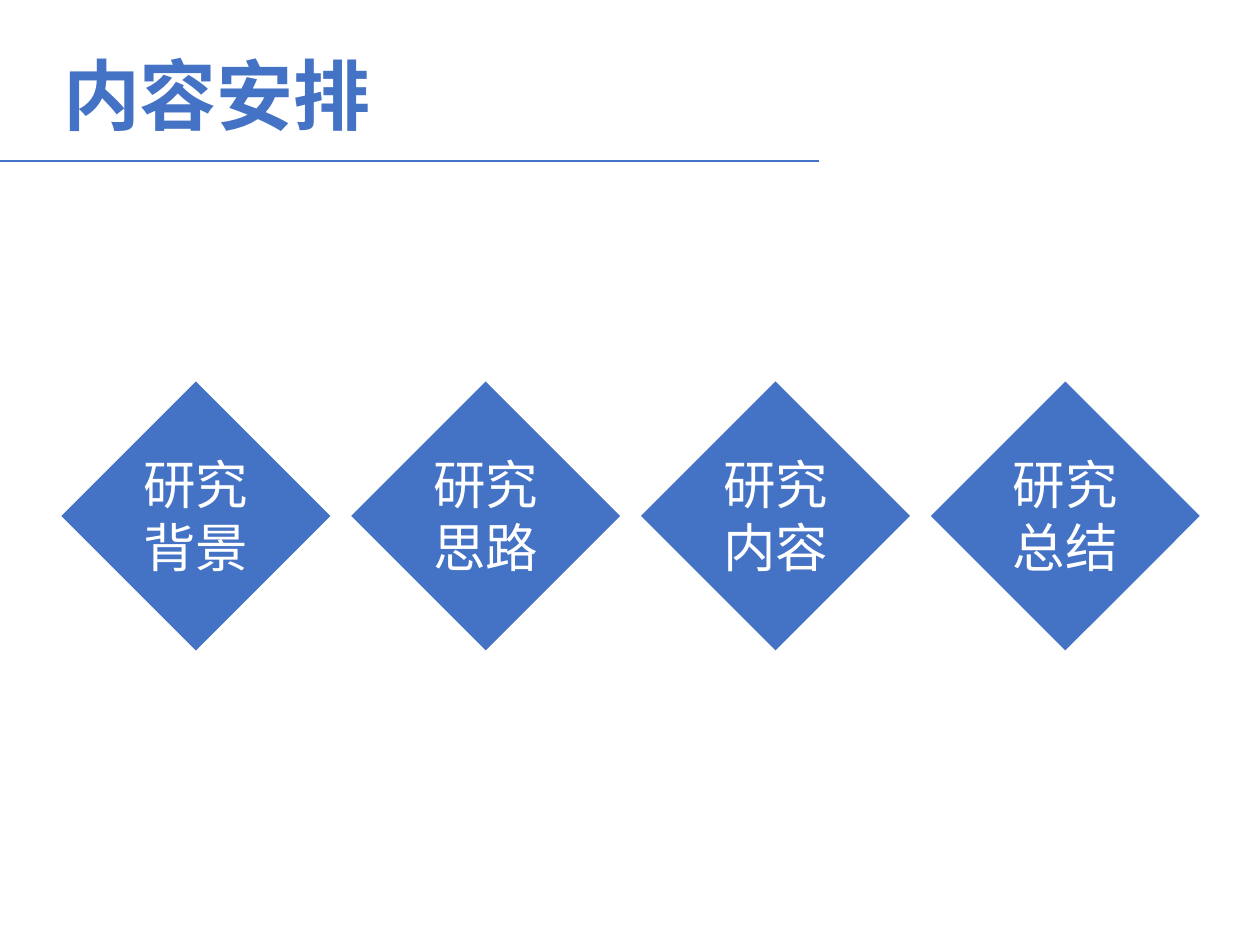
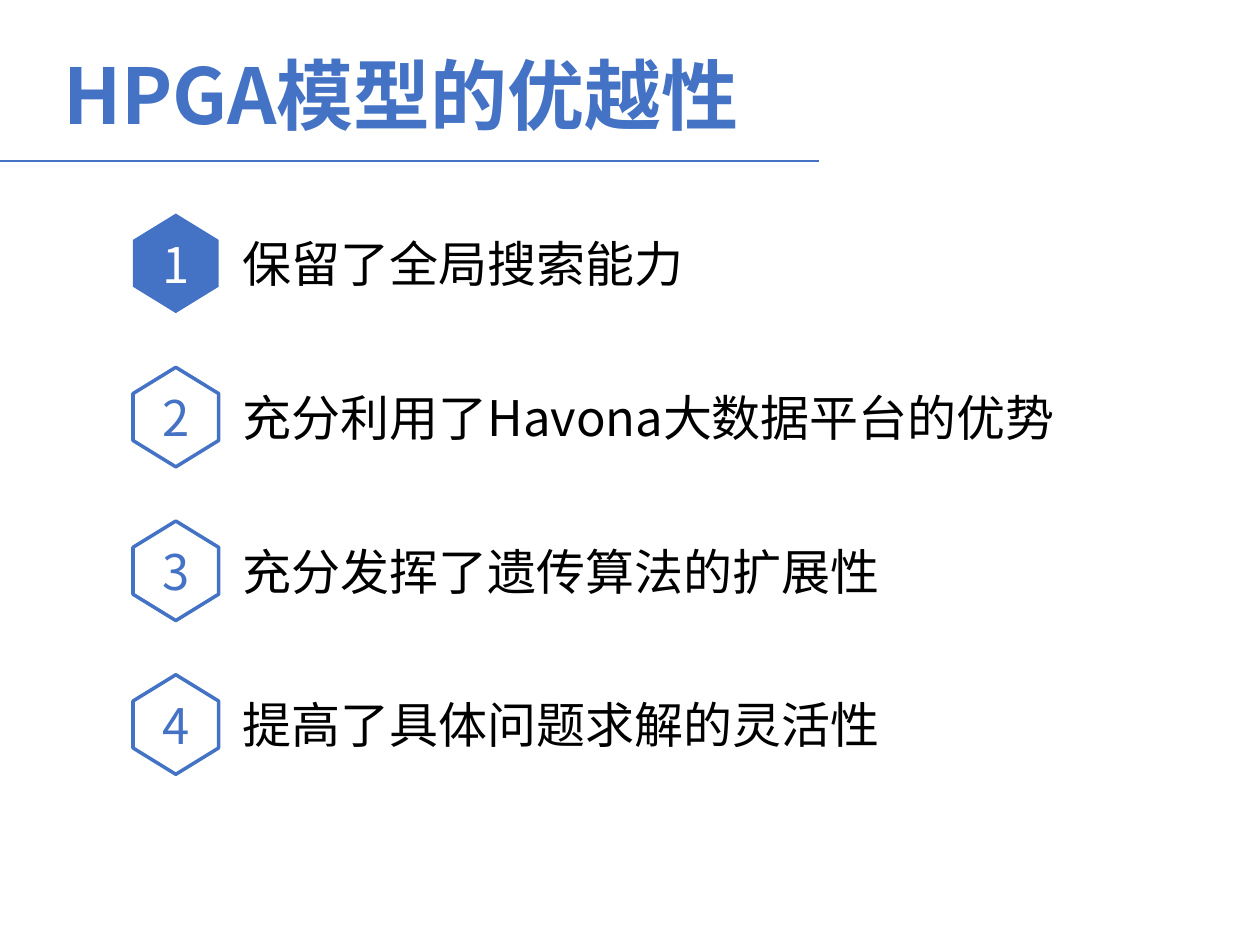
"""Build the outline slide and the model advantages slide."""
from lxml.etree import SubElement
from pptx import Presentation
from pptx.dml.color import RGBColor
from pptx.enum.shapes import MSO_CONNECTOR, MSO_SHAPE
from pptx.enum.text import MSO_ANCHOR, MSO_AUTO_SIZE, PP_ALIGN
from pptx.oxml.ns import qn
from pptx.util import Inches, Pt

BLUE = RGBColor(0x44, 0x72, 0xC4)
WHITE = RGBColor(0xFF, 0xFF, 0xFF)
BLACK = RGBColor(0x00, 0x00, 0x00)
FONT = "Noto Sans CJK SC"
TITLE_ONLY = 5

TOPICS = ["研究背景", "研究思路", "研究内容", "研究总结"]
TOPIC_LEFT, TOPIC_TOP, TOPIC_PITCH = 0.8, 3.34, 2.3
TOPIC_SIDE = 1.51
LABEL_WIDTH, LABEL_HEIGHT = 1.35, 1.11

ADVANTAGES = [
    "保留了全局搜索能力",
    "充分利用了Havona大数据平台的优势",
    "充分发挥了遗传算法的扩展性",
    "提高了具体问题求解的灵活性",
]
ROW_TOP, ROW_PITCH = 1.75, 1.22
HEXAGON_WIDTH, HEXAGON_HEIGHT = 0.79, 0.68


def place(shape, left, top, width, height):
    """Move and size a shape, in inches."""
    shape.left, shape.top = Inches(left), Inches(top)
    shape.width, shape.height = Inches(width), Inches(height)


def write(shape, text, size, color, alignment, bold=False):
    """Fill a shape with one formatted paragraph."""
    paragraph = shape.text_frame.paragraphs[0]
    paragraph.text = text
    paragraph.alignment = alignment
    paragraph.space_before = Pt(0)
    paragraph.line_spacing = Pt(round(1.2 * size))
    font = paragraph.font
    font.name, font.size, font.bold = FONT, Pt(size), bold
    font.color.rgb = color
    defaults = paragraph._p.pPr.find(qn("a:defRPr"))
    SubElement(defaults, qn("a:ea")).set("typeface", FONT)


def add_titled_slide(presentation, title):
    """Add a slide with the shared title and the rule below it."""
    slide = presentation.slides.add_slide(presentation.slide_layouts[TITLE_ONLY])
    rule = slide.shapes.add_connector(
        MSO_CONNECTOR.STRAIGHT, 0, Inches(1.28), Inches(6.5), Inches(1.28))
    rule.line.color.rgb = BLUE
    rule.line.width = Pt(1.25)
    SubElement(rule._element.spPr, qn("a:effectLst"))
    heading = slide.shapes.title
    place(heading, 0.4, 0.32, 8.03, 0.71)
    heading.text_frame.auto_size = MSO_AUTO_SIZE.NONE
    heading.text_frame.vertical_anchor = MSO_ANCHOR.TOP
    write(heading, title, 44, BLUE, PP_ALIGN.LEFT, bold=True)
    return slide


def add_shape(slide, preset, left, top, width, height, filled=True):
    """Add a blue shape, either solid or outlined."""
    shape = slide.shapes.add_shape(
        preset, Inches(left), Inches(top), Inches(width), Inches(height))
    shape.shadow.inherit = False
    if filled:
        shape.fill.solid()
        shape.fill.fore_color.rgb = BLUE
        shape.line.fill.background()
    else:
        shape.fill.background()
        shape.line.color.rgb = BLUE
        shape.line.width = Pt(2)
    return shape


def add_label(slide, text, left, top, width, height, size, color, alignment):
    """Add a wrapping text box that grows with its text."""
    label = slide.shapes.add_textbox(
        Inches(left), Inches(top), Inches(width), Inches(height))
    label.text_frame.word_wrap = True
    label.text_frame.auto_size = MSO_AUTO_SIZE.SHAPE_TO_FIT_TEXT
    write(label, text, size, color, alignment)


def add_topic(slide, column, text):
    """Add a square turned on its corner with a centred label."""
    left = TOPIC_LEFT + column * TOPIC_PITCH
    square = add_shape(slide, MSO_SHAPE.RECTANGLE, left, TOPIC_TOP,
                       TOPIC_SIDE, TOPIC_SIDE)
    square.rotation = 315
    add_label(slide, text,
              left + (TOPIC_SIDE - LABEL_WIDTH) / 2,
              TOPIC_TOP + (TOPIC_SIDE - LABEL_HEIGHT) / 2,
              LABEL_WIDTH, LABEL_HEIGHT, 30, WHITE, PP_ALIGN.CENTER)


def add_advantage(slide, row, text):
    """Add a numbered hexagon, solid in the first row, and its statement."""
    top = ROW_TOP + row * ROW_PITCH
    first = row == 0
    hexagon = add_shape(slide, MSO_SHAPE.HEXAGON, 1, top,
                        HEXAGON_WIDTH, HEXAGON_HEIGHT, filled=first)
    hexagon.adjustments[0] = 0.307
    hexagon.rotation = 90
    frame = hexagon.text_frame
    frame.vertical_anchor = MSO_ANCHOR.MIDDLE
    frame.margin_left = frame.margin_right = 0
    frame.margin_top = frame.margin_bottom = 0
    frame._txBody.bodyPr.set("vert", "vert270")
    write(hexagon, str(row + 1), 28, WHITE if first else BLUE, PP_ALIGN.CENTER)
    add_label(slide, text, 1.83, top + 0.05, 7.26, 0.57,
              28, BLACK, PP_ALIGN.JUSTIFY)


def main():
    """Build both slides and save the presentation."""
    presentation = Presentation()
    presentation.slide_width, presentation.slide_height = Inches(10), Inches(7.5)

    outline = add_titled_slide(presentation, "内容安排")
    for column, topic in enumerate(TOPICS):
        add_topic(outline, column, topic)

    advantages = add_titled_slide(presentation, "HPGA模型的优越性")
    for row, advantage in enumerate(ADVANTAGES):
        add_advantage(advantages, row, advantage)

    presentation.save("out.pptx")


if __name__ == "__main__":
    main()
